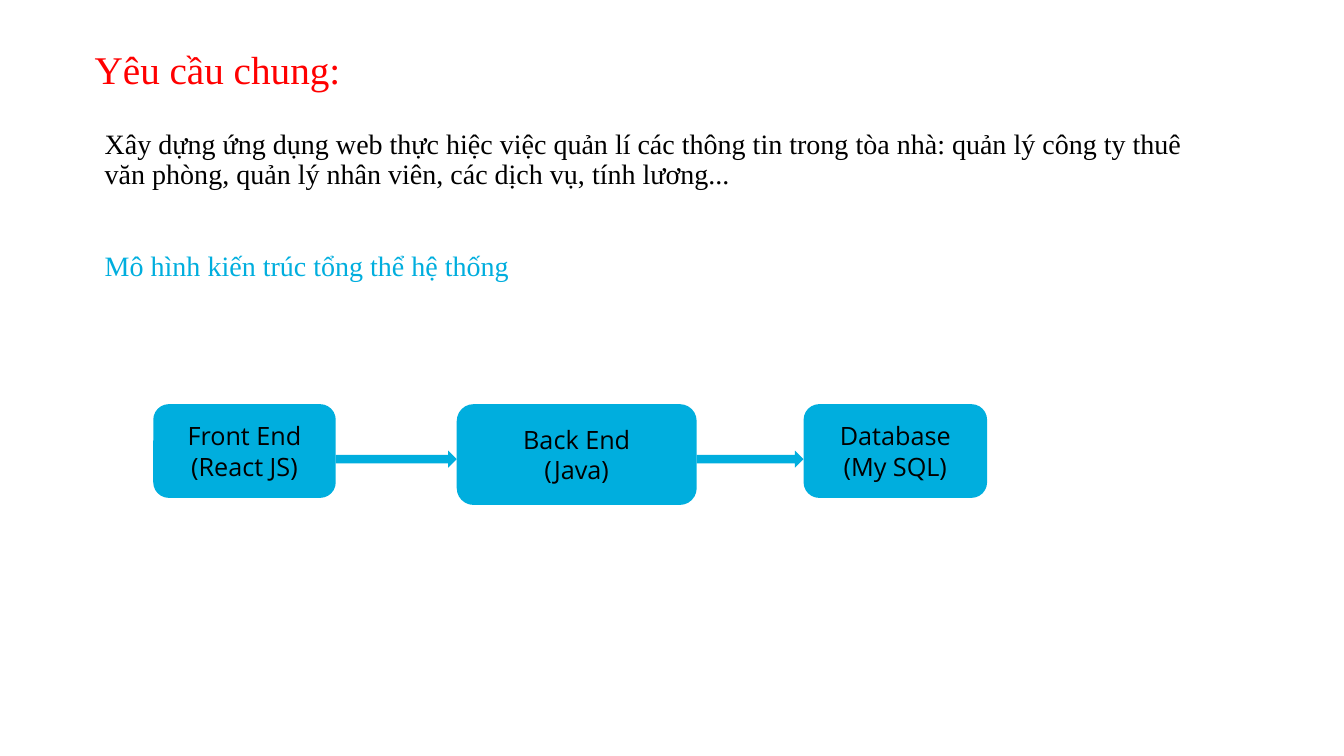
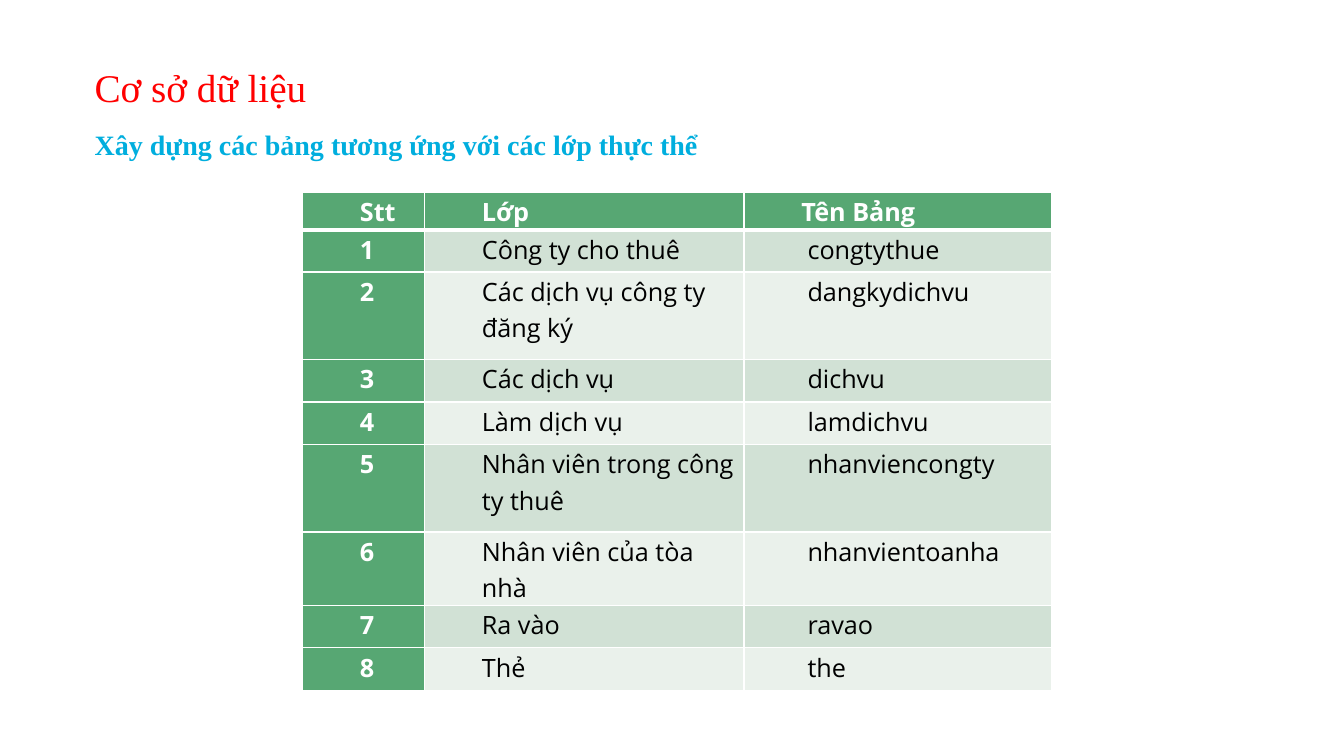
"""Build two slides on a building management web application."""
from dataclasses import dataclass
from itertools import pairwise

from lxml.etree import SubElement
from pptx import Presentation
from pptx.dml.color import RGBColor
from pptx.enum.shapes import MSO_SHAPE as Preset
from pptx.enum.text import MSO_ANCHOR as Anchor, PP_ALIGN as Align
from pptx.oxml.ns import qn
from pptx.util import Inches, Pt

SERIF, SANS = "Times New Roman", "Open Sans"
BLACK, WHITE, RED, BLUE = "000000", "FFFFFF", "FF0000", "00AEDE"
GREEN, BANDS = "57A773", ("D1E1D5", "EAF1EB")
TITLE = dict(size=28, color=RED)
BODY_INDENT, NAME_INDENT = 0.5, 0.56


@dataclass(frozen=True)
class Tier:
    """One box of the architecture row."""
    lines: tuple[str, str]
    left: float
    width: float
    height: float

    @property
    def right(self) -> float:
        return self.left + self.width


@dataclass(frozen=True)
class Entity:
    """One entity class with its database table and row height."""
    label: str
    table_name: str
    height: float = 0.42


TIERS = (
    Tier(("Front End", "(React JS)"), 1.52, 1.81, 0.93),
    Tier(("Back End", "(Java)"), 4.53, 2.38, 1),
    Tier(("Database", "(My SQL)"), 7.97, 1.82, 0.93),
)
TIER_TOP, ARROW_TOP, ARROW_HEIGHT = 4.01, 4.47, 0.17

ENTITIES = (
    Entity("Công ty cho thuê", "congtythue"),
    Entity("Các dịch vụ công ty đăng ký", "dangkydichvu", 0.87),
    Entity("Các dịch vụ", "dichvu"),
    Entity("Làm dịch vụ", "lamdichvu"),
    Entity("Nhân viên trong công ty thuê", "nhanviencongty", 0.87),
    Entity("Nhân viên của tòa nhà", "nhanvientoanha", 0.73),
    Entity("Ra vào", "ravao"),
    Entity("Thẻ", "the"),
)
HEADINGS = ("Stt", "Lớp", "Tên Bảng")
COLUMN_WIDTHS = (1.21, 3.17, 3.05)
HEADER_HEIGHT = 0.37


def rgb(code: str) -> RGBColor:
    return RGBColor.from_string(code)


def write(frame, *lines: str, size: float = 18, color: str = BLACK, font: str = SANS,
          bold: bool = False, align=Align.LEFT, spacing: float = 1.0,
          before: float = 0, indent: float = 0) -> None:
    frame.word_wrap = True
    for number, line in enumerate(lines):
        para = frame.add_paragraph() if number else frame.paragraphs[0]
        para.alignment, para.line_spacing, para.space_before = align, spacing, Pt(before)
        if indent:
            properties = para._p.get_or_add_pPr()
            properties.set("marL", str(Inches(indent)))
            properties.set("indent", "0")
        span = para.add_run()
        span.text = line
        span.font.size, span.font.name, span.font.bold = Pt(size), font, bold
        span.font.color.rgb = rgb(color)


def add_text(slide, text: str, left: float, top: float, width: float, height: float,
             **text_format) -> None:
    box = slide.shapes.add_textbox(Inches(left), Inches(top), Inches(width), Inches(height))
    write(box.text_frame, text, font=SERIF, spacing=0.9, before=10, **text_format)


def add_block(slide, preset: Preset, left: float, top: float, width: float, height: float):
    block = slide.shapes.add_shape(
        preset, Inches(left), Inches(top), Inches(width), Inches(height))
    block.shadow.inherit = False
    block.fill.solid()
    block.fill.fore_color.rgb = rgb(BLUE)
    block.line.fill.background()
    return block


def set_borders(cell, **widths: float) -> None:
    properties = cell._tc.get_or_add_tcPr()
    for side in "LRTB":
        line = SubElement(properties, qn(f"a:ln{side}"), w=str(Pt(widths.get(side, 1))))
        fill = SubElement(line, qn("a:solidFill"))
        SubElement(fill, qn("a:srgbClr"), val=WHITE)


def fill_cell(cell, text: str, row: int, column: int) -> None:
    strong = row == 0 or column == 0
    set_borders(cell, **{0: {"B": 3}, 1: {"T": 3}}.get(row, {}))
    cell.fill.solid()
    cell.fill.fore_color.rgb = rgb(GREEN if strong else BANDS[(row - 1) % 2])
    cell.margin_left = cell.margin_right = Inches(0.07)
    cell.margin_top = cell.margin_bottom = 0
    write(cell.text_frame, text, bold=strong, color=WHITE if strong else BLACK,
          spacing=1.07, indent=NAME_INDENT if row and column == 2 else BODY_INDENT)


def add_entity_table(slide) -> None:
    heights = (HEADER_HEIGHT, *(entity.height for entity in ENTITIES))
    rows = (HEADINGS, *((str(number), entity.label, entity.table_name)
                        for number, entity in enumerate(ENTITIES, 1)))
    table = slide.shapes.add_table(
        len(rows), len(HEADINGS), Inches(3), Inches(1.91),
        Inches(sum(COLUMN_WIDTHS)), Inches(sum(heights))).table
    table.first_row = table.horz_banding = False
    for column, width in zip(table.columns, COLUMN_WIDTHS):
        column.width = Inches(width)
    for row, (height, texts) in enumerate(zip(heights, rows)):
        table.rows[row].height = Inches(height)
        for column, text in enumerate(texts):
            fill_cell(table.cell(row, column), text, row, column)


def build_requirements(slide) -> None:
    add_text(slide, "Yêu cầu chung:", 0.84, 0.45, 4.78, 0.35, **TITLE)
    add_text(slide, "Xây dựng ứng dụng web thực hiệc việc quản lí các thông tin trong tòa nhà: "
             "quản lý công ty thuê văn phòng, quản lý nhân viên, các dịch vụ, tính lương...",
             0.94, 1.24, 11.03, 1.21, size=20)
    add_text(slide, "Mô hình kiến trúc tổng thể hệ thống",
             0.94, 2.45, 4.78, 0.35, size=20, color=BLUE)
    for tier in TIERS:
        block = add_block(slide, Preset.ROUNDED_RECTANGLE,
                          tier.left, TIER_TOP, tier.width, tier.height)
        block.text_frame.vertical_anchor = Anchor.MIDDLE
        write(block.text_frame, *tier.lines, align=Align.CENTER)
    for source, target in pairwise(TIERS):
        add_block(slide, Preset.RIGHT_ARROW, source.right, ARROW_TOP,
                  target.left - source.right, ARROW_HEIGHT)


def build_database(slide) -> None:
    add_text(slide, "Cơ sở dữ liệu", 0.84, 0.63, 4.78, 0.35, **TITLE)
    add_text(slide, "Xây dựng các bảng tương ứng với các lớp thực thể",
             0.84, 1.25, 7.93, 0.4, size=20, color=BLUE, bold=True)
    add_entity_table(slide)


def main() -> None:
    deck = Presentation()
    deck.slide_width, deck.slide_height = Inches(13.33), Inches(7.5)
    for build in (build_requirements, build_database):
        build(deck.slides.add_slide(deck.slide_layouts[6]))
    deck.save("out.pptx")


if __name__ == "__main__":
    main()
